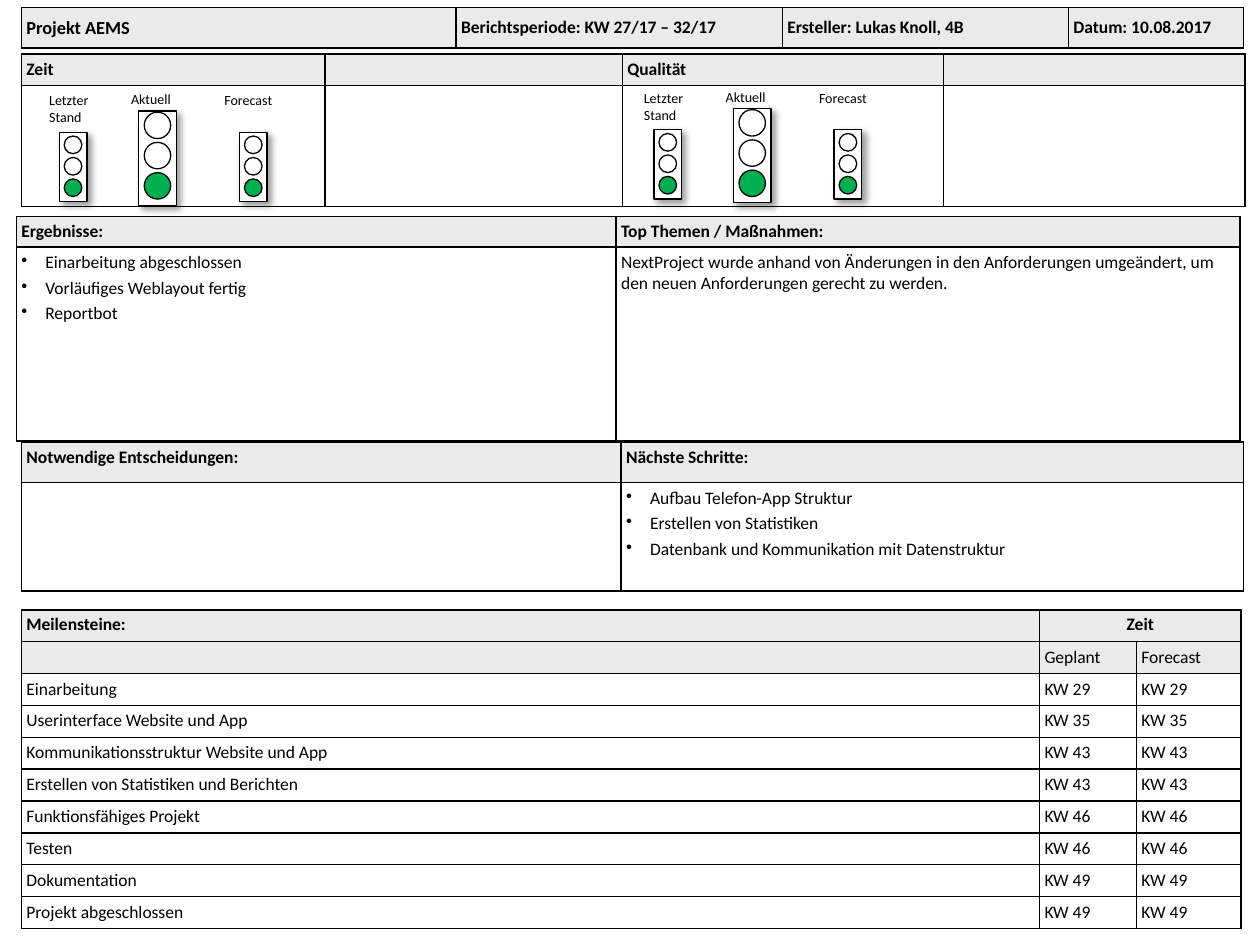
import pptx
import pptx.util
import pptx.dml.color
import pptx.enum.shapes
import pptx.enum.text
import pptx.oxml
import pptx.oxml.ns
import lxml.etree

INK = {"text": "000000", "head": "EAEAEA", "paper": "FFFFFF", "go": "00B050"}
FONT = "Calibri"
COLS, ROWS = 1000, 750
UNIT = pptx.util.Inches(10) // COLS
NS = pptx.oxml.ns.nsdecls("a")
ALIGN = pptx.enum.text.PP_ALIGN
SHAPE = pptx.enum.shapes.MSO_SHAPE


def grid(*cells):
    """Turn grid counts into lengths."""
    return [pptx.util.Emu(round(n * UNIT)) for n in cells]


def tint(name):
    """Look up a colour by name."""
    return pptx.dml.color.RGBColor.from_string(INK[name])


def write(par, text, size, bold=False):
    """Add one styled run to a paragraph."""
    run = par.add_run()
    run.text = text
    run.font.name = FONT
    run.font.size = pptx.util.Pt(size)
    run.font.bold = bold
    run.font.color.rgb = tint("text")


def bullet(par):
    """Give a paragraph a hanging bullet."""
    props = par._p.get_or_add_pPr()
    indent = grid(19)[0]
    props.set("marL", str(indent))
    props.set("indent", str(-indent))
    props.append(pptx.oxml.parse_xml(f'<a:buChar {NS} char="•"/>'))


def edge(cell):
    """Draw a thin line on all four sides of a cell."""
    props = cell._tc.get_or_add_tcPr()
    for side in "LRTB":
        props.append(pptx.oxml.parse_xml(
            f'<a:ln{side} {NS} w="12700"><a:solidFill>'
            f'<a:srgbClr val="{INK["text"]}"/></a:solidFill></a:ln{side}>'))


def fill_cell(cell, text, head, bold, size):
    """Style one table cell and write its text or bullet list."""
    edge(cell)
    if head:
        cell.fill.solid()
        cell.fill.fore_color.rgb = tint("head")
    else:
        cell.fill.background()
    cell.margin_left = cell.margin_right = grid(4)[0]
    cell.margin_top = cell.margin_bottom = grid(4)[0]
    frame = cell.text_frame
    items = text if isinstance(text, list) else [text]
    for i, item in enumerate(items):
        par = frame.add_paragraph() if i else frame.paragraphs[0]
        if bold:
            par.line_spacing = 0.95
        if i < len(items) - 1:
            par.space_after = pptx.util.Pt(2.5)
        if isinstance(text, list):
            bullet(par)
        if item:
            write(par, item, size, bold)
        else:
            par._p.append(pptx.oxml.parse_xml(f'<a:endParaRPr {NS} sz="1000"/>'))


def sheet(slide, left, top, wide, high, data, heads=1, first=10):
    """Place a ruled table with grey heading rows."""
    box = grid(left, top, sum(wide), sum(high))
    table = slide.shapes.add_table(len(high), len(wide), *box).table
    table.first_row = table.horz_banding = False
    for col, size in zip(table.columns, grid(*wide)):
        col.width = size
    for row, size in zip(table.rows, grid(*high)):
        row.height = size
    for r, line in enumerate(data):
        for c, text in enumerate(line):
            size = 10 if r or c else first
            fill_cell(table.cell(r, c), text, r < heads, r == 0, size)
    return table


def outline(slide, kind, box, color=None):
    """Place a thin-lined shape without a shadow."""
    item = slide.shapes.add_shape(kind, *grid(*box))
    item.shadow.inherit = False
    if color:
        item.fill.solid()
        item.fill.fore_color.rgb = tint(color)
    else:
        item.fill.background()
    item.line.color.rgb = tint("text")
    item.line.width = pptx.util.Pt(0.75)
    return item


def lamp(slide, left, top, wide, high, size, gap):
    """Place a traffic light with the green lamp lit."""
    case = outline(slide, SHAPE.RECTANGLE, (left, top, wide, high), "paper")
    glow = case._element.spPr.find(pptx.oxml.ns.qn("a:effectLst"))
    glow.append(pptx.oxml.parse_xml(
        f'<a:outerShdw {NS} blurRad="50800" dist="38100" dir="2700000" algn="tl" '
        f'rotWithShape="0"><a:srgbClr val="{INK["text"]}"><a:alpha val="40000"/>'
        '</a:srgbClr></a:outerShdw>'))
    for i, color in enumerate((None, None, "go")):
        box = (left + (wide - size) / 2, top + gap + i * (size + 3), size, size)
        outline(slide, SHAPE.OVAL, box, color)


def label(slide, left, top, wide, lines):
    """Place a small caption."""
    box = grid(left, top, wide, 13.5 * len(lines))
    frame = slide.shapes.add_textbox(*box).text_frame
    frame.word_wrap = True
    frame.margin_left = frame.margin_right = 0
    frame.margin_top = frame.margin_bottom = 0
    for i, line in enumerate(lines):
        par = frame.add_paragraph() if i else frame.paragraphs[0]
        write(par, line, 8)


def status(slide, left, top):
    """Place the last, current and forecast lights of one panel."""
    small, big = (22, 55, 14, 3), (30, 75, 21, 1)
    label(slide, left, top + 1, 39, ["Letzter", "Stand"])
    lamp(slide, left + 8, top + 33, *small)
    label(slide, left + 65, top, 36, ["Aktuell"])
    lamp(slide, left + 71, top + 16, *big)
    label(slide, left + 139, top + 1, 45, ["Forecast"])
    lamp(slide, left + 151, top + 33, *small)


def goals(slide, left, top):
    """Place the milestone table with its merged time heading."""
    plan = [("Einarbeitung", 29), ("Userinterface Website und App", 35),
            ("Kommunikationsstruktur Website und App", 43),
            ("Erstellen von Statistiken und Berichten", 43),
            ("Funktionsfähiges Projekt", 46), ("Testen", 46),
            ("Dokumentation", 49), ("Projekt abgeschlossen", 49)]
    data = [("Meilensteine:", "Zeit", ""), ("", "Geplant", "Forecast")]
    data += [(name, f"KW {week}", f"KW {week}") for name, week in plan]
    table = sheet(slide, left, top, (808, 77, 83), [25.3] * 10, data, heads=2)
    table.cell(0, 1).merge(table.cell(0, 2))
    table.cell(0, 1).text_frame.paragraphs[0].alignment = ALIGN.CENTER


def report(deck):
    """Build the project status slide."""
    slide = deck.slides.add_slide(deck.slide_layouts[6])
    title = sheet(slide, 17, 6, (345, 259, 227, 139), (32,),
                  [("Projekt AEMS", "Berichtsperiode: KW 27/17 – 32/17",
                    "Ersteller: Lukas Knoll, 4B", "Datum: 10.08.2017")], first=10.5)
    for cell in title.iter_cells():
        cell.vertical_anchor = pptx.enum.text.MSO_ANCHOR.MIDDLE
    sheet(slide, 17, 43, (241, 236, 255, 239), (25, 96),
          [("Zeit", "", "Qualität", ""), [""] * 4])
    sheet(slide, 17, 351, (476, 494), (32, 86),
          [("Notwendige Entscheidungen:", "Nächste Schritte:"),
           ("", ["Aufbau Telefon-App Struktur", "Erstellen von Statistiken",
                 "Datenbank und Kommunikation mit Datenstruktur"])])
    goals(slide, 17, 484)
    sheet(slide, 13, 172, (476, 495), (24, 154),
          [("Ergebnisse:", "Top Themen / Maßnahmen:"),
           (["Einarbeitung abgeschlossen", "Vorläufiges Weblayout fertig",
             "Reportbot"],
            "NextProject wurde anhand von Änderungen in den Anforderungen "
            "umgeändert, um den neuen Anforderungen gerecht zu werden.")])
    status(slide, 39, 72)
    status(slide, 511, 70)


deck = pptx.Presentation()
deck.slide_width, deck.slide_height = grid(COLS, ROWS)
report(deck)
deck.save("out.pptx")
